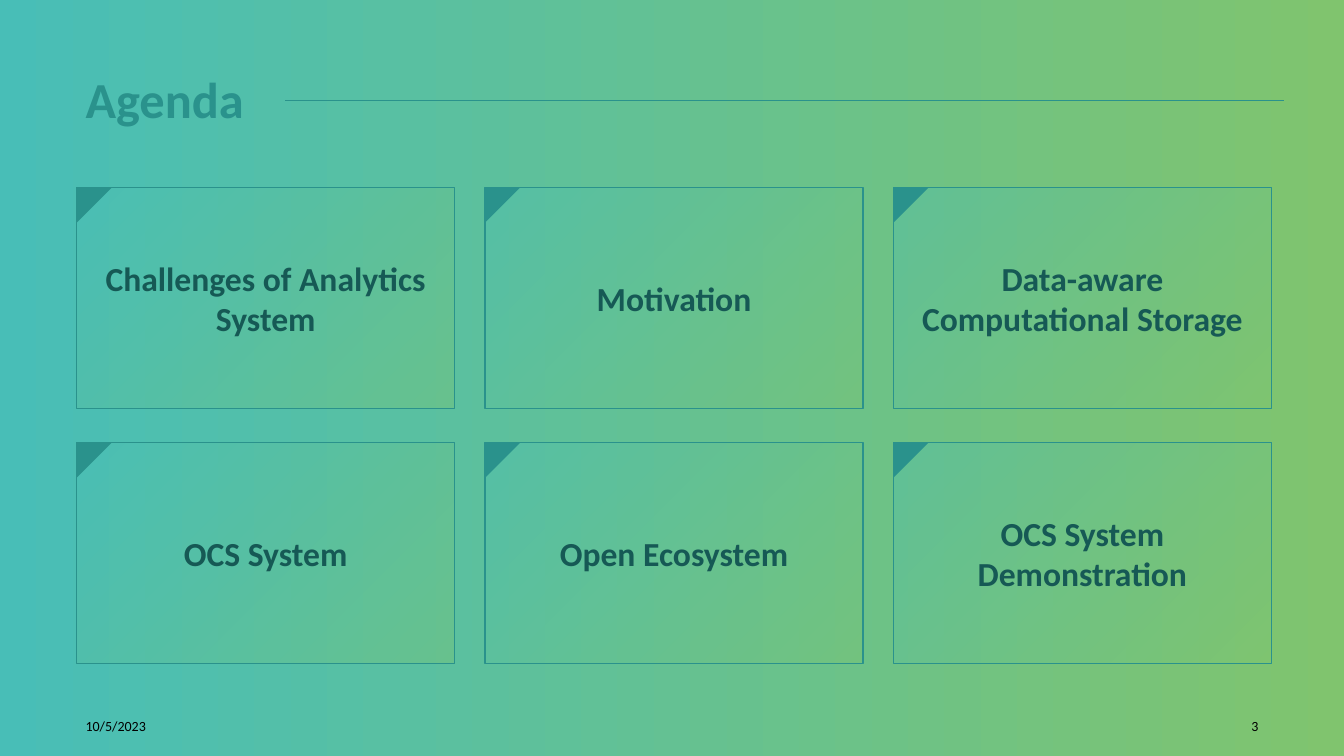
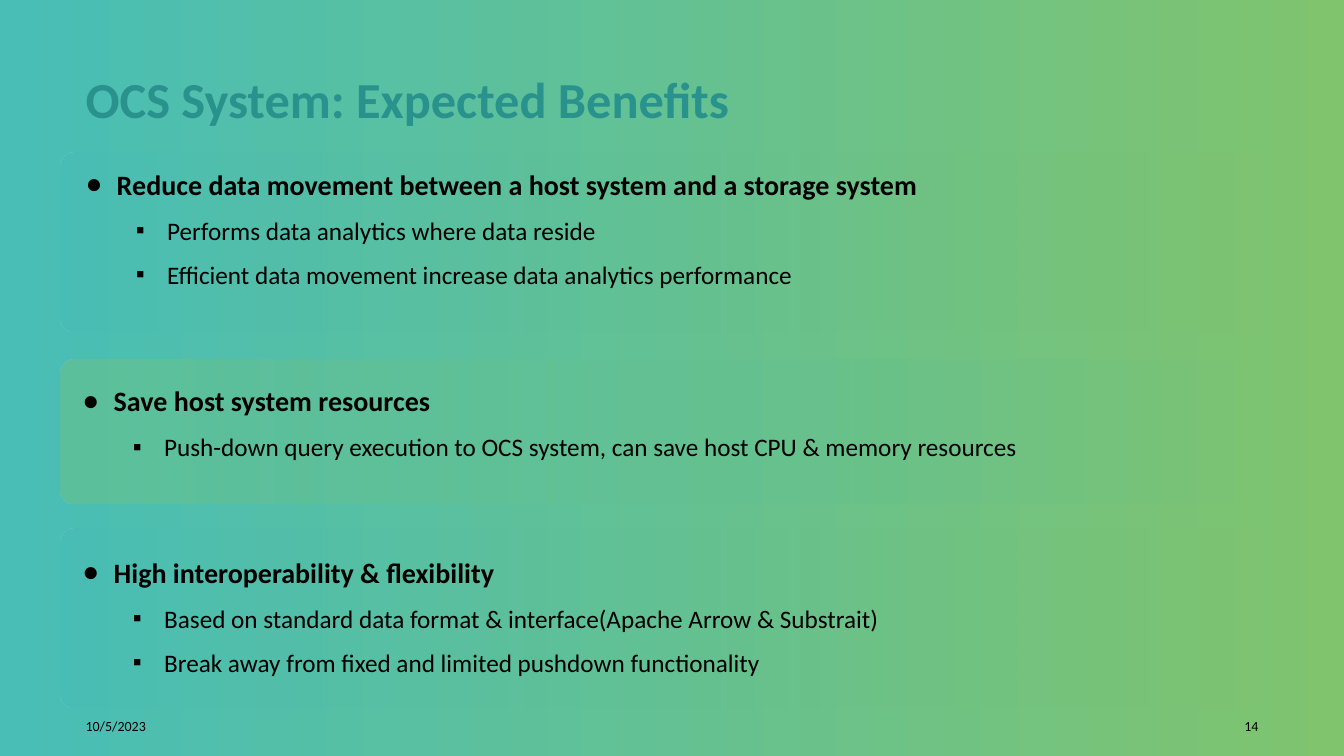
from lxml.etree import SubElement
from pptx import Presentation
from pptx.dml.color import RGBColor
from pptx.enum.shapes import MSO_CONNECTOR, MSO_SHAPE
from pptx.enum.text import MSO_ANCHOR, PP_ALIGN
from pptx.oxml.ns import qn
from pptx.util import Inches, Pt

COLORS = {
    "teal": "48BEB7",
    "green": "80C46E",
    "accent": "2A928C",
    "card text": "165955",
    "text": "000000",
}
FONT = "Calibri"
DATE = "10/5/2023"

AGENDA = [
    ["Challenges of Analytics System", "Motivation", "Data-aware Computational Storage"],
    ["OCS System", "Open Ecosystem", "OCS System Demonstration"],
]
CARD_LEFT, CARD_TOP = 0.76, 1.86
CARD_WIDTH, CARD_HEIGHT = 3.75, 2.19
COLUMN_STEP, ROW_STEP = 4.05, 2.53
CORNER = 0.35

PANEL_LEFT, PANEL_WIDTH, PANEL_RADIUS = 0.6, 12.13, 0.13
TEAL_FADE = [("teal", 35), ("green", 0)]
GREEN_FADE = [("green", 35), ("teal", 0)]
BENEFITS = [
    {
        "panel": (1.51, 1.78), "fade": TEAL_FADE, "text box": (0.75, 1.61, 11.83, 1.6),
        "heading": "Reduce data movement between a host system and a storage system",
        "points": [
            "Performs data analytics where data reside",
            "Efficient data movement increase data analytics performance",
        ],
    },
    {
        "panel": (3.57, 1.43), "fade": GREEN_FADE, "text box": (0.72, 3.76, 11.83, 1.31),
        "heading": "Save host system resources",
        "points": [
            "Push-down query execution to OCS system, can save host CPU & memory resources",
        ],
    },
    {
        "panel": (5.24, 1.78), "fade": TEAL_FADE, "text box": (0.72, 5.46, 11.83, 1.5),
        "heading": "High interoperability & flexibility",
        "points": [
            "Based on standard data format & interface(Apache Arrow & Substrait)",
            "Break away from fixed and limited pushdown functionality",
        ],
    },
]


def rgb(name):
    return RGBColor.from_string(COLORS[name])


def set_gradient(fill, names, clockwise_angle=0):
    fill.gradient()
    fill.gradient_angle = (360 - clockwise_angle) % 360
    for stop, name in zip(fill.gradient_stops, names):
        stop.color.rgb = rgb(name)


def write(para, text, size, color="text", bold=False, align=PP_ALIGN.LEFT):
    para.text = text
    para.alignment = align
    font = para.font
    font.name, font.size, font.bold = FONT, Pt(size), bold
    font.color.rgb = rgb(color)


def add_text_box(page, box, anchor=MSO_ANCHOR.MIDDLE):
    frame = page.shapes.add_textbox(*map(Inches, box)).text_frame
    frame.word_wrap = True
    frame.vertical_anchor = anchor
    return frame


def add_flat_shape(page, kind, box):
    """Add a preset shape with neither shadow nor outline."""
    shape = page.shapes.add_shape(kind, *map(Inches, box))
    shape.shadow.inherit = False
    shape.line.fill.background()
    return shape


def fill_translucent(shape, stops, clockwise_angle=0):
    """Fill with a gradient of (colour name, opacity percent) stops."""
    set_gradient(shape.fill, [name for name, _ in stops], clockwise_angle)
    gradient = shape.element.spPr.find(qn("a:gradFill"))
    for color, (_, opacity) in zip(gradient.iter(qn("a:srgbClr")), stops):
        SubElement(color, qn("a:alpha"), val=str(opacity * 1000))


def set_bullet(para, symbol, indent):
    props = para._p.get_or_add_pPr()
    props.set("marL", str(Inches(indent)))
    props.set("indent", str(-Inches(0.31)))
    bullet_color = SubElement(props, qn("a:buClr"))
    SubElement(bullet_color, qn("a:srgbClr"), val=COLORS["text"])
    SubElement(props, qn("a:buFont"), typeface="Arial")
    SubElement(props, qn("a:buChar"), char=symbol)


def add_page(deck, title, number):
    """Add a slide with the shared background, title and footer."""
    page = deck.slides.add_slide(deck.slide_layouts[6])
    set_gradient(page.background.fill, ["teal", "green"])
    frame = add_text_box(page, (0.75, 0.43, 11.83, 1.09))
    write(frame.paragraphs[0], title, 36, "accent", bold=True)
    frame = add_text_box(page, (0.75, 7.03, 1.75, 0.35))
    write(frame.paragraphs[0], DATE, 10)
    frame = add_text_box(page, (11.98, 7.03, 0.6, 0.35))
    write(frame.paragraphs[0], str(number), 10, align=PP_ALIGN.RIGHT)
    return page


def add_card(page, text, left, top):
    card = add_flat_shape(page, MSO_SHAPE.RECTANGLE, (left, top, CARD_WIDTH, CARD_HEIGHT))
    fill_translucent(card, [("teal", 35), ("green", 35)], 45)
    card.line.color.rgb = rgb("accent")
    card.line.width = Pt(1)
    frame = card.text_frame
    frame.word_wrap = True
    frame.vertical_anchor = MSO_ANCHOR.MIDDLE
    write(frame.paragraphs[0], text, 24, "card text", bold=True, align=PP_ALIGN.CENTER)

    corner = add_flat_shape(page, MSO_SHAPE.RIGHT_TRIANGLE, (left, top, CORNER, CORNER))
    corner.rotation = 90
    corner.fill.solid()
    corner.fill.fore_color.rgb = rgb("accent")


def add_agenda(deck):
    page = add_page(deck, "Agenda", 3)
    rule = page.shapes.add_connector(
        MSO_CONNECTOR.STRAIGHT, Inches(2.83), Inches(1), Inches(12.73), Inches(1))
    rule.line.color.rgb = rgb("accent")
    rule.line.width = Pt(0.75)
    SubElement(rule.element.spPr, qn("a:effectLst"))
    for row, topics in enumerate(AGENDA):
        for column, topic in enumerate(topics):
            add_card(page, topic, CARD_LEFT + column * COLUMN_STEP, CARD_TOP + row * ROW_STEP)


def add_benefit(page, benefit):
    top, height = benefit["panel"]
    panel = add_flat_shape(
        page, MSO_SHAPE.ROUNDED_RECTANGLE, (PANEL_LEFT, top, PANEL_WIDTH, height))
    panel.adjustments[0] = PANEL_RADIUS / height
    fill_translucent(panel, benefit["fade"])

    frame = add_text_box(page, benefit["text box"], MSO_ANCHOR.TOP)
    heading = frame.paragraphs[0]
    write(heading, benefit["heading"], 20, bold=True)
    heading.space_after = Pt(10)
    set_bullet(heading, "●", 0.31)
    for point in benefit["points"]:
        para = frame.add_paragraph()
        write(para, point, 18)
        para.level = 1
        para.space_after = Pt(10)
        set_bullet(para, "▪", 0.81)


def add_benefits(deck):
    page = add_page(deck, "OCS System: Expected Benefits", 14)
    for benefit in BENEFITS:
        add_benefit(page, benefit)


def main():
    deck = Presentation()
    deck.slide_width, deck.slide_height = Inches(13.33), Inches(7.5)
    add_agenda(deck)
    add_benefits(deck)
    deck.save("out.pptx")


if __name__ == "__main__":
    main()
